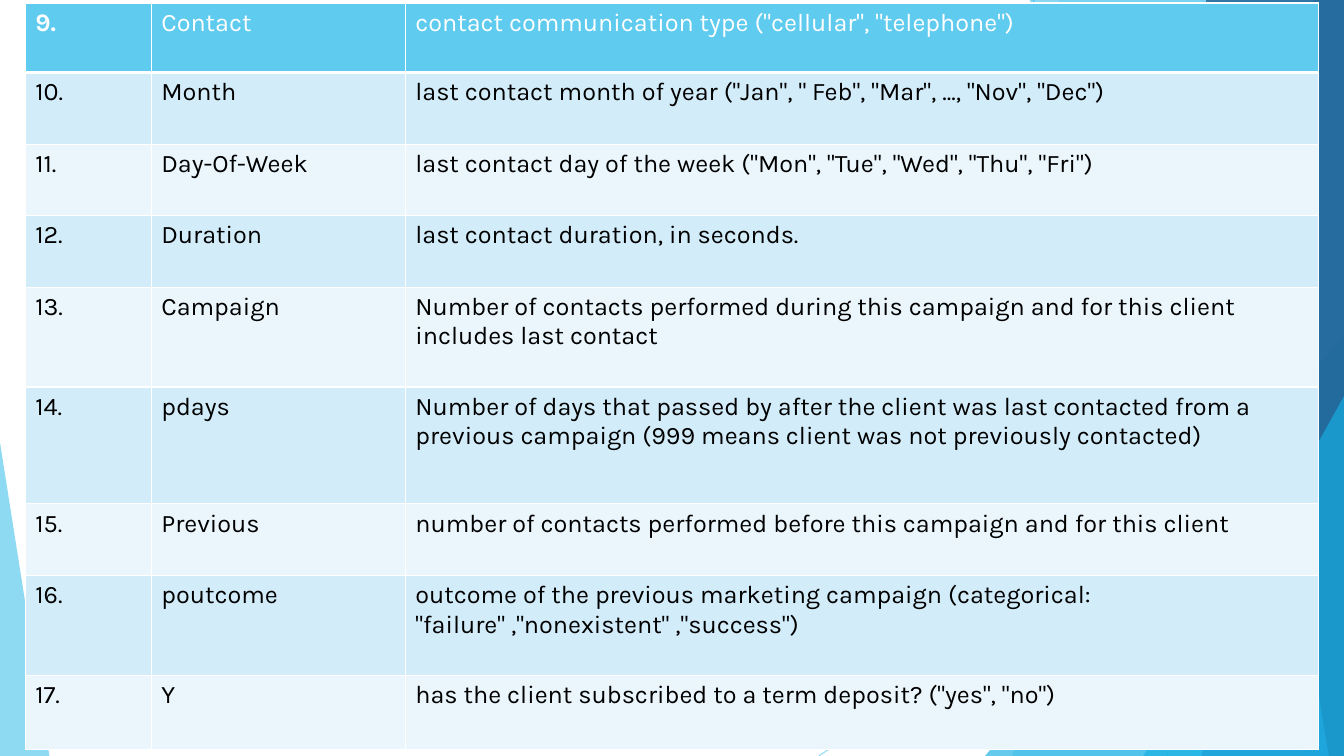
from lxml.etree import SubElement
from pptx import Presentation
from pptx.dml.color import RGBColor
from pptx.enum.shapes import MSO_CONNECTOR, MSO_SHAPE
from pptx.oxml.ns import qn
from pptx.util import Inches, Pt

SKY, AZURE, BLUE, NAVY = "5FCBEF", "17B0E4", "2E83C3", "226292"
WHITE, BLACK = "FFFFFF", "000000"
BANDS = ("EAF6FC", "D2ECF9")
TOP, BOTTOM, RIGHT = -0.01, 7.5, 13.33

RAYS = [
    ((10.25, 0), (11.58, BOTTOM)),
    ((RIGHT, 4.03), (8.12, BOTTOM)),
]
BACK_PANELS = [(12.28, 10.04, SKY, 36), (10.5, 11.83, SKY, 20)]
FRONT_PANELS = [
    (10.21, 12.91, AZURE, 50),
    (13.03, 11.92, BLUE, 70),
    (11.96, 13.18, NAVY, 80),
]
COLUMN_WIDTHS = [1.25, 2.52, 9.06]
ROW_HEIGHTS = [0.69, 0.71, 0.71, 0.71, 0.99, 1.16, 0.71, 0.99, 0.74]
FIRST_NUMBER = 9
ATTRIBUTES = [
    ("Contact", 'contact communication type ("cellular", "telephone")'),
    ("Month", 'last contact month of year ("Jan", " Feb", "Mar", ..., "Nov", "Dec")'),
    ("Day-Of-Week", 'last contact day of the week ("Mon", "Tue", "Wed", "Thu", "Fri")'),
    ("Duration", "last contact duration, in seconds."),
    ("Campaign", "Number of contacts performed during this campaign and for this client "
                 "includes last contact"),
    ("pdays", "Number of days that passed by after the client was last contacted from a "
              "previous campaign (999 means client was not previously contacted)"),
    ("Previous", "number of contacts performed before this campaign and for this client"),
    ("poutcome", "outcome of the previous "
                 'marketing campaign (categorical: "failure" ,"nonexistent" ,"success")'),
    ("Y", 'has the client subscribed to a term deposit? ("yes", "no")'),
]


def color(value):
    """Turn a hex string into a colour."""
    return RGBColor.from_string(value)


class AttributeSlide:
    """Hold the style and the slide, and draw each kind of element."""

    font, size = "Karla", Pt(18)

    def __init__(self, slide):
        self.slide = slide

    def fade(self, element, percent):
        for tint in element.iter(qn("a:srgbClr")):
            SubElement(tint, qn("a:alpha"), val=str(percent * 1000))

    def paint(self, shape, fill, percent):
        shape.shadow.inherit = False
        shape.fill.solid()
        shape.fill.fore_color.rgb = color(fill)
        shape.line.fill.background()
        self.fade(shape.element, percent)

    def ray(self, start, end):
        ends = [Inches(length) for length in (*start, *end)]
        ray = self.slide.shapes.add_connector(MSO_CONNECTOR.STRAIGHT, *ends)
        ray.line.color.rgb = color(SKY)
        ray.line.width = Pt(0.75)
        self.fade(ray.element, 70)
        SubElement(ray.element.spPr, qn("a:effectLst"))

    def panel(self, top_x, bottom_x, fill, percent):
        corners = [(top_x, TOP), (RIGHT, TOP), (RIGHT, BOTTOM), (bottom_x, BOTTOM)]
        points = [(Inches(x), Inches(y)) for x, y in corners]
        outline = self.slide.shapes.build_freeform(*points[0])
        outline.add_line_segments(points[1:], close=True)
        self.paint(outline.convert_to_shape(), fill, percent)

    def triangle(self, left, top, width, apex, fill, percent):
        box = [Inches(length) for length in (left, top, width, BOTTOM - top)]
        wedge = self.slide.shapes.add_shape(MSO_SHAPE.ISOSCELES_TRIANGLE, *box)
        wedge.adjustments[0] = apex
        self.paint(wedge, fill, percent)

    def cell(self, cell, text, fill, ink, bold, top_width, bottom_width):
        properties = cell._tc.get_or_add_tcPr()
        for side, width in zip("LRTB", (1, 1, top_width, bottom_width)):
            border = SubElement(properties, qn(f"a:ln{side}"), w=str(Pt(width)))
            SubElement(SubElement(border, qn("a:solidFill")), qn("a:srgbClr"), val=WHITE)
        cell.fill.solid()
        cell.fill.fore_color.rgb = color(fill)
        cell.text = text
        font = cell.text_frame.paragraphs[0].font
        font.name, font.size, font.bold = self.font, self.size, bold
        font.color.rgb = color(ink)

    def table(self, left, top, widths, heights, records):
        box = [Inches(length) for length in (left, top, sum(widths), sum(heights))]
        table = self.slide.shapes.add_table(len(heights), len(widths), *box).table
        for column, width in zip(table.columns, widths):
            column.width = Inches(width)
        for row, height in enumerate(heights):
            table.rows[row].height = Inches(height)
            header = row == 0
            fill, ink = (SKY, WHITE) if header else (BANDS[row % 2], BLACK)
            for column, text in enumerate(records[row]):
                self.cell(table.cell(row, column), text, fill, ink,
                          header and column == 0, 3 if row == 1 else 1, 3 if header else 1)


def main():
    presentation = Presentation()
    presentation.slide_width, presentation.slide_height = Inches(RIGHT), Inches(BOTTOM)
    page = AttributeSlide(presentation.slides.add_slide(presentation.slide_layouts[6]))
    for start, end in RAYS:
        page.ray(start, end)
    for panel in BACK_PANELS:
        page.panel(*panel)
    page.triangle(9.77, 3.33, 3.56, 1, AZURE, 66)
    for panel in FRONT_PANELS:
        page.panel(*panel)
    page.triangle(11.34, 3.93, 1.99, 1, AZURE, 66)
    page.triangle(0, 4.39, 0.49, 0, SKY, 70)
    records = [(f"{number}.", *attribute)
               for number, attribute in enumerate(ATTRIBUTES, FIRST_NUMBER)]
    page.table(0.25, 0.03, COLUMN_WIDTHS, ROW_HEIGHTS, records)
    presentation.save("out.pptx")


if __name__ == "__main__":
    main()
